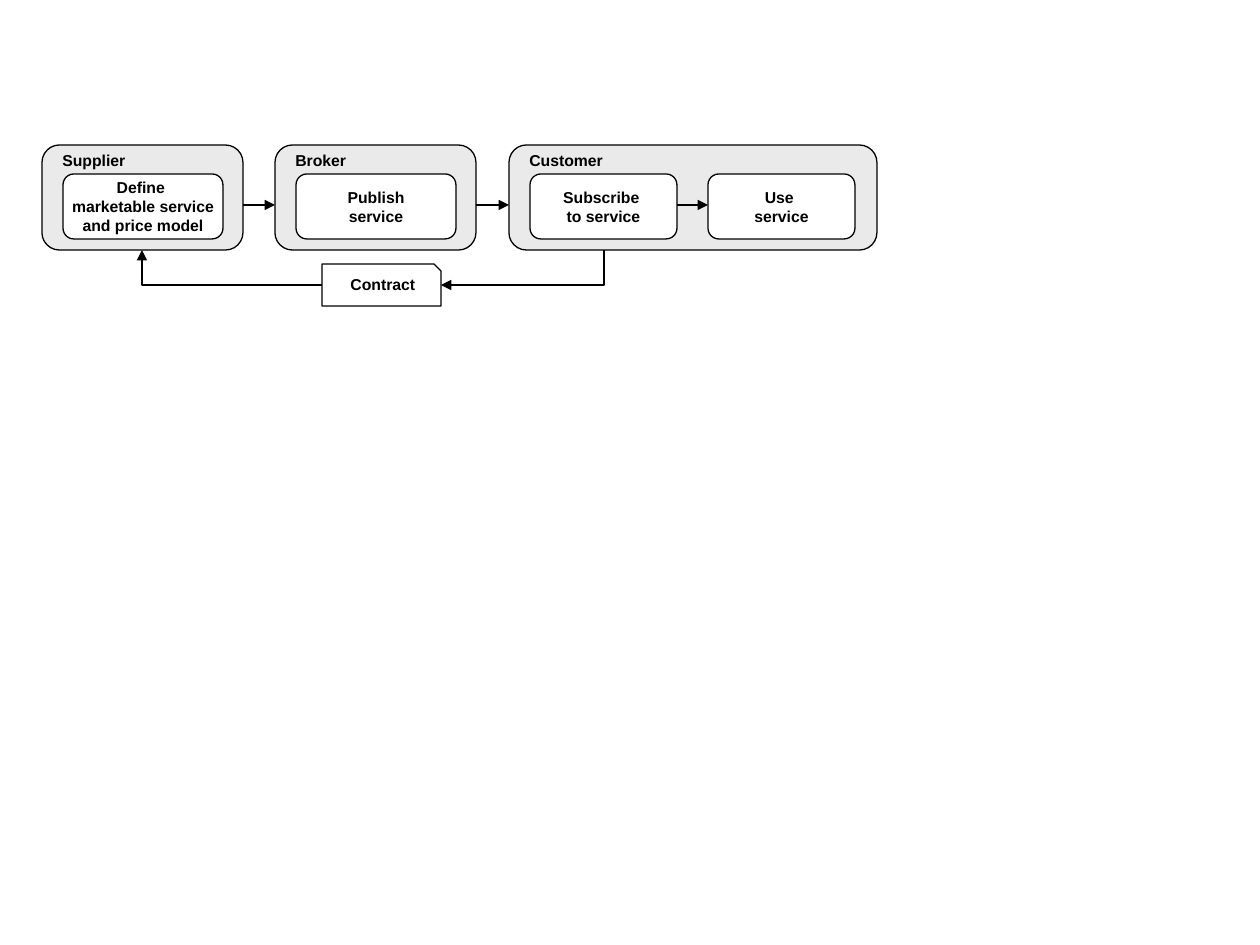
from lxml import etree
from pptx import Presentation
from pptx import util as u
from pptx.dml.color import RGBColor
from pptx.enum import shapes, text
from pptx.oxml.ns import qn

PX = 914400 // 126
COLORS = {"ink": "000000", "panel": "EAEAEA", "box": "FFFFFF"}
KIND = shapes.MSO_SHAPE
TOP, HEIGHT, ARROW_Y = 145, 105, 60
PAD_X, PAD_Y, STEP_H, STEP_GAP = 21, 29, 65, 31
PANELS = [
    ("Supplier", 89, 42, 201, 160, [["Define \vmarketable service", "and price model"]]),
    ("Broker", 78, 275, 201, 160, [["Publish", "service"]]),
    ("Customer", 101, 509, 368, 147, [["Subscribe ", "to service"], ["Use ", "service"]]),
]


def px(*values):
    return [u.Emu(v * PX) for v in values]


def rgb(name):
    return RGBColor.from_string(COLORS[name])


def outline(s):
    s.line.color.rgb = rgb("ink")
    s.line.width = u.Pt(0.75)


def add_run(p, words):
    r = p.add_run()
    r.text = words
    r.font.name = "Arial"
    r.font.size = u.Pt(9)
    r.font.bold = True
    r.font.color.rgb = rgb("ink")


def write(tf, lines, align):
    tf.word_wrap = False
    for i, line in enumerate(lines):
        p = tf.add_paragraph() if i else tf.paragraphs[0]
        p.alignment = align
        for j, words in enumerate(line.split("\v")):
            if j:
                p.add_line_break()
            add_run(p, words)


def add_box(slide, kind, box, fill, lines=()):
    s = slide.shapes.add_shape(kind, *px(*box))
    s.shadow.inherit = False
    s.fill.solid()
    s.fill.fore_color.rgb = rgb(fill)
    outline(s)
    if lines:
        s.text_frame.vertical_anchor = text.MSO_ANCHOR.MIDDLE
        write(s.text_frame, lines, text.PP_ALIGN.CENTER)


def add_label(slide, box, words):
    tf = slide.shapes.add_textbox(*px(*box)).text_frame
    write(tf, [words], text.PP_ALIGN.LEFT)
    tf.auto_size = text.MSO_AUTO_SIZE.SHAPE_TO_FIT_TEXT


def add_arrow(slide, start, end, preset="line", adjust=None):
    kind = shapes.MSO_CONNECTOR.STRAIGHT if preset == "line" else shapes.MSO_CONNECTOR.ELBOW
    s = slide.shapes.add_connector(kind, *px(*start, *end))
    outline(s)
    pr = s.element.spPr
    geom = pr.find(qn("a:prstGeom"))
    geom.set("prst", preset)
    if adjust is not None:
        guides = geom.find(qn("a:avLst"))
        etree.SubElement(guides, qn("a:gd"), name="adj1", fmla=f"val {adjust}")
    etree.SubElement(pr.find(qn("a:ln")), qn("a:tailEnd"), type="triangle")
    etree.SubElement(pr, qn("a:effectLst"))


def add_panel(slide, box, title, title_w, step_w, steps):
    x, y, w, h = box
    add_box(slide, KIND.ROUNDED_RECTANGLE, box, "panel")
    for i, lines in enumerate(steps):
        left = x + PAD_X + i * (step_w + STEP_GAP)
        step = (left, y + PAD_Y, step_w, STEP_H)
        add_box(slide, KIND.ROUNDED_RECTANGLE, step, "box", lines)
        if i:
            add_arrow(slide, (left - STEP_GAP, y + ARROW_Y), (left, y + ARROW_Y))
    add_label(slide, (x + 8, y, title_w, 31), title)


def add_contract(slide, box, supplier_x, customer_x, panel_bottom):
    x, y, w, h = box
    mid = y + h // 2
    add_box(slide, KIND.SNIP_1_RECTANGLE, box, "box")
    add_label(slide, (x + 16, y + 5, 92, 31), "Contract")
    add_arrow(slide, (customer_x, panel_bottom), (x + w, mid), "bentConnector3", 0)
    add_arrow(slide, (x, mid), (supplier_x, panel_bottom), "bentConnector2")


def build():
    prs = Presentation()
    prs.slide_width, prs.slide_height = u.Inches(10), u.Inches(7.5)
    slide = prs.slides.add_slide(prs.slide_layouts[6])
    previous_right = None
    for title, title_w, x, w, step_w, steps in PANELS:
        add_panel(slide, (x, TOP, w, HEIGHT), title, title_w, step_w, steps)
        if previous_right:
            add_arrow(slide, (previous_right, TOP + ARROW_Y), (x, TOP + ARROW_Y))
        previous_right = x + w
    add_contract(slide, (322, 264, 119, 42), 142, 604, TOP + HEIGHT)
    prs.save("out.pptx")


build()
